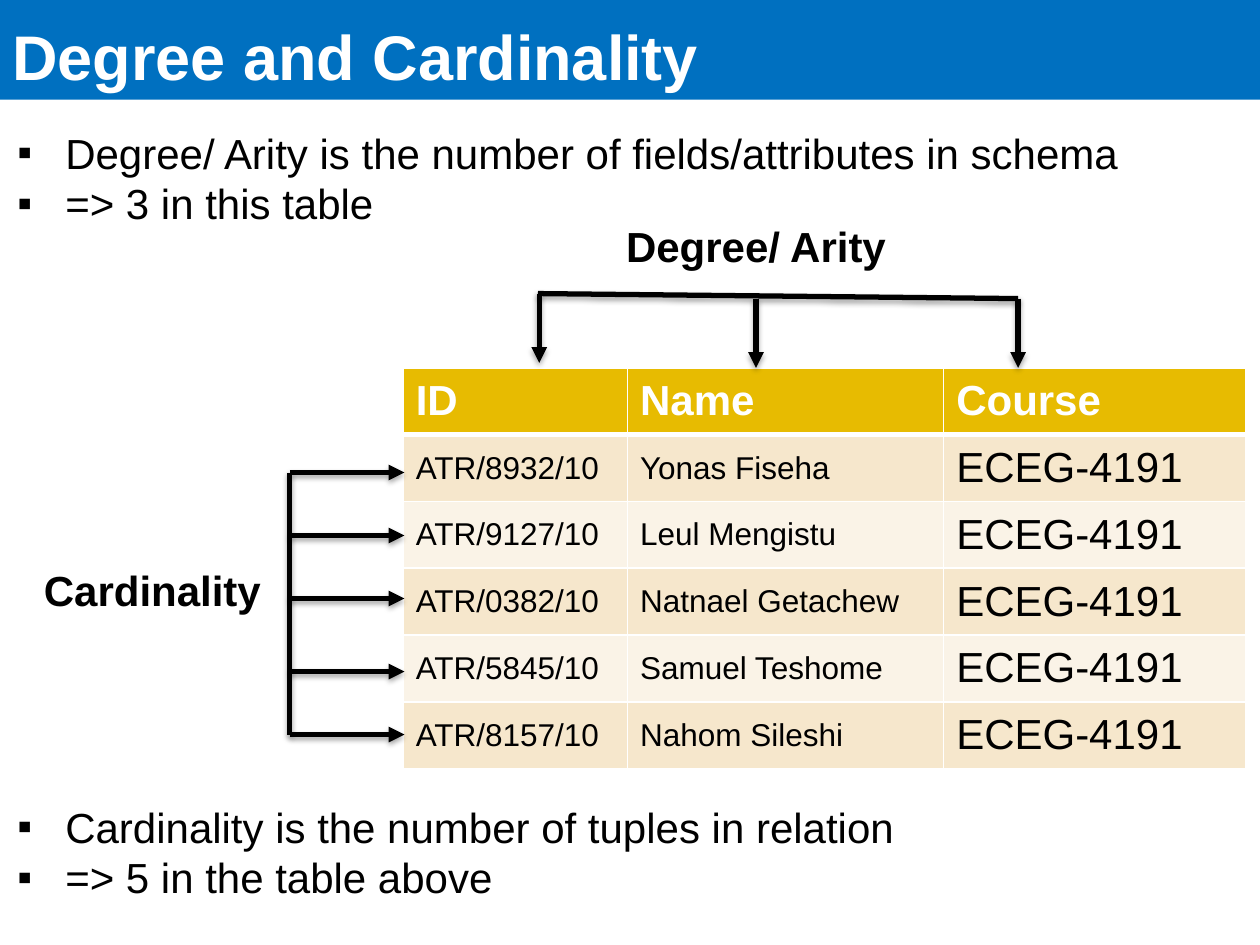
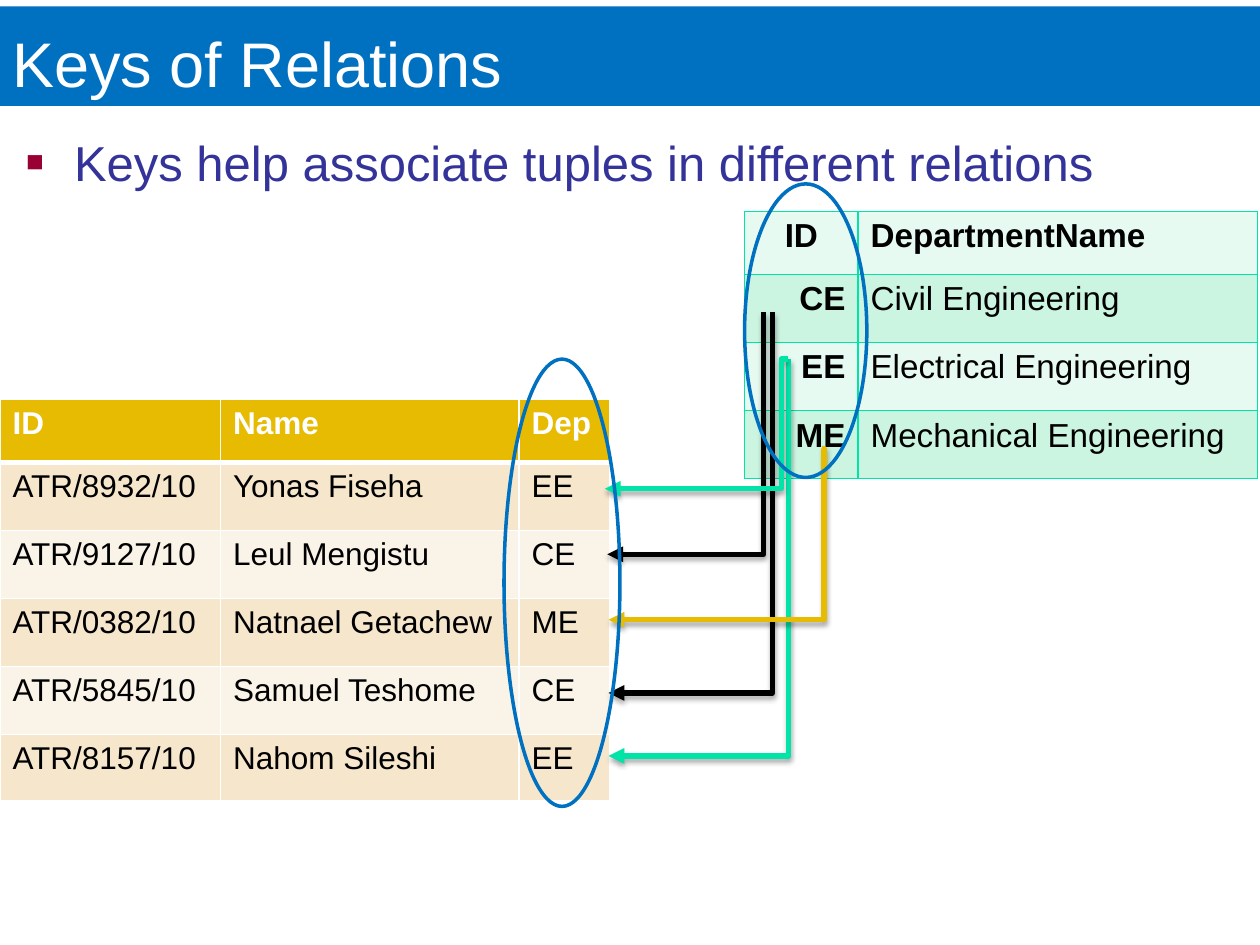
import pptx
import pptx.util
from pptx.dml.color import RGBColor
from pptx.enum.shapes import MSO_CONNECTOR, MSO_SHAPE
from pptx.enum.text import MSO_ANCHOR, PP_ALIGN
from pptx.oxml import parse_xml
from pptx.oxml.ns import nsdecls, qn

PX = 9144  # EMU, 100 px to the inch
FONT = "Arial"
BLUE = RGBColor(0x00, 0x70, 0xC0)
WHITE = RGBColor(0xFF, 0xFF, 0xFF)
BLACK = RGBColor(0x00, 0x00, 0x00)
GOLD = RGBColor(0xE7, 0xBB, 0x01)
SAND = RGBColor(0xF6, 0xE7, 0xCC)
CREAM = RGBColor(0xFA, 0xF3, 0xE7)
GREEN = RGBColor(0x00, 0xE4, 0xA8)
MINT = RGBColor(0xCC, 0xF5, 0xE1)
PALE_MINT = RGBColor(0xE7, 0xFA, 0xF1)
INDIGO = RGBColor(0x33, 0x33, 0x99)
CRIMSON = RGBColor(0x99, 0x00, 0x33)

STUDENTS = [
    ("ATR/8932/10", "Yonas Fiseha", "EE"),
    ("ATR/9127/10", "Leul Mengistu", "CE"),
    ("ATR/0382/10", "Natnael Getachew", "ME"),
    ("ATR/5845/10", "Samuel Teshome", "CE"),
    ("ATR/8157/10", "Nahom Sileshi", "EE"),
]
DEPARTMENTS = [
    ("CE", "Civil Engineering"),
    ("EE", "Electrical Engineering"),
    ("ME", "Mechanical Engineering"),
]


def px(*lengths):
    return [pptx.util.Emu(n * PX) for n in lengths]


def xml(text):
    """Parse one DrawingML element whose tag has no attributes of its own namespace."""
    tag = text[1:].split(" ")[0].split(">")[0].rstrip("/")
    return parse_xml(text.replace(tag, f"{tag} {nsdecls('a')}", 1))


class Deck:
    def __init__(self):
        self.prs = pptx.Presentation()
        self.prs.slide_width, self.prs.slide_height = px(1000, 750)
        self.s = None

    def slide(self, title, top, bold):
        """Start a slide with its title band."""
        self.s = self.prs.slides.add_slide(self.prs.slide_layouts[6])
        sp = self.shape(MSO_SHAPE.RECTANGLE, 0, top, 1000, 79, fill=BLUE)
        sp.text_frame.vertical_anchor = MSO_ANCHOR.BOTTOM
        self.run(sp.text_frame.paragraphs[0], title, 36, WHITE, bold)

    def shape(self, kind, x, y, w, h, fill=None, line=None):
        sp = self.s.shapes.add_shape(kind, *px(x, y, w, h))
        sp.shadow.inherit = False
        if fill is None:
            sp.fill.background()
        else:
            sp.fill.solid()
            sp.fill.fore_color.rgb = fill
        if line is None:
            sp.line.fill.background()
        else:
            sp.line.color.rgb = line
            sp.line.width = pptx.util.Pt(2)
        return sp

    def run(self, p, text, size, color=BLACK, bold=False, align=PP_ALIGN.LEFT):
        p.alignment = align
        r = p.add_run()
        r.text = text
        r.font.name = FONT
        r.font.size = pptx.util.Pt(size)
        r.font.color.rgb = color
        r.font.bold = bold

    def label(self, x, y, w, text):
        tf = self.s.shapes.add_textbox(*px(x, y, w, 50)).text_frame
        tf.word_wrap = False
        self.run(tf.paragraphs[0], text, 24, bold=True)

    def bullets(self, x, y, w, h, lines, size=24, color=BLACK, mark="▪",
                mark_color=BLACK, mark_size=100, before=0):
        tf = self.s.shapes.add_textbox(*px(x, y, w, h)).text_frame
        tf.word_wrap = True
        for i, line in enumerate(lines):
            p = tf.add_paragraph() if i else tf.paragraphs[0]
            p.space_before = pptx.util.Pt(before)
            self.run(p, line, size, color)
            pPr = p._p.get_or_add_pPr()
            pPr.set("marL", str(38 * PX))
            pPr.set("indent", str(-38 * PX))
            pPr.append(xml(f'<a:buClr><a:srgbClr val="{mark_color}"/></a:buClr>'))
            pPr.append(xml(f'<a:buSzPct val="{mark_size * 1000}"/>'))
            pPr.append(xml(f'<a:buFont typeface="{FONT}"/>'))
            pPr.append(xml(f'<a:buChar char="{mark}"/>'))

    def table(self, x, y, cols, rows, cells, style):
        """Fill a table; style(row, col) gives fill and the settings of the run."""
        frame = self.s.shapes.add_table(len(rows), len(cols),
                                        *px(x, y, sum(cols), sum(rows)))
        table = frame.table
        for col, width in zip(table.columns, px(*cols)):
            col.width = width
        for row, height in zip(table.rows, px(*rows)):
            row.height = height
        for i, texts in enumerate(cells):
            for j, text in enumerate(texts):
                cell = table.cell(i, j)
                look = style(i, j)
                self.borders(cell, look["border"], look["widths"])
                cell.fill.solid()
                cell.fill.fore_color.rgb = look["fill"]
                cell.vertical_anchor = look.get("anchor", MSO_ANCHOR.TOP)
                self.run(cell.text_frame.paragraphs[0], text, **look["run"])

    def borders(self, cell, color, widths):
        tcPr = cell._tc.get_or_add_tcPr()
        for side, width in zip("LRTB", widths):
            tcPr.append(xml(f'<a:ln{side} w="{width * 12700}"><a:solidFill>'
                            f'<a:srgbClr val="{color}"/></a:solidFill></a:ln{side}>'))

    def line(self, x1, y1, x2, y2, color=BLACK, head=False, tail=False,
             kind=MSO_CONNECTOR.STRAIGHT):
        """Draw a shadowed line with an arrowhead at its start or end."""
        cx = self.s.shapes.add_connector(kind, *px(x1, y1, x2, y2))
        cx.line.color.rgb = color
        cx.line.width = pptx.util.Pt(3)
        ln = cx.line._get_or_add_ln()
        if head:
            ln.append(xml('<a:headEnd type="triangle"/>'))
        if tail:
            ln.append(xml('<a:tailEnd type="triangle"/>'))
        cx._element.spPr.append(xml(
            '<a:effectLst><a:outerShdw blurRad="39370" dist="22860" dir="5400000" '
            'rotWithShape="0"><a:srgbClr val="000000"><a:alpha val="35000"/>'
            '</a:srgbClr></a:outerShdw></a:effectLst>'))
        return cx

    def elbow(self, tip, start, turn, color):
        """Arrow to tip from start, with its upright part at x = turn."""
        cx = self.line(*tip, *start, color, head=True, kind=MSO_CONNECTOR.ELBOW)
        share = round(100000 * (turn - tip[0]) / (start[0] - tip[0]))
        geom = cx._element.spPr.find(qn("a:prstGeom"))
        geom.find(qn("a:avLst")).append(xml(f'<a:gd name="adj1" fmla="val {share}"/>'))


def student_style(sizes, header_size, anchor):
    """Gold header over sand and cream bands; sizes are per column."""
    def style(i, j):
        if i == 0:
            return dict(fill=GOLD, border=WHITE, widths=(1, 1, 1, 3), anchor=anchor,
                        run=dict(size=header_size, color=WHITE, bold=True))
        return dict(fill=SAND if i % 2 else CREAM, border=WHITE,
                    widths=(1, 1, 3 if i == 1 else 1, 1), anchor=anchor,
                    run=dict(size=sizes[j]))
    return style


def department_style(i, j):
    align = PP_ALIGN.LEFT
    if j == 0:
        align = PP_ALIGN.RIGHT if i else PP_ALIGN.CENTER
    return dict(fill=MINT if i % 2 else PALE_MINT, border=GREEN, widths=(1, 1, 1, 1),
                run=dict(size=19, bold=i == 0 or j == 0, align=align))


def degree_slide(deck):
    deck.slide("Degree and Cardinality", 0, bold=True)
    cells = [("ID", "Name", "Course")]
    cells += [(number, name, "ECEG-4191") for number, name, _ in STUDENTS]
    deck.table(320, 292, [178, 251, 240], [53] * 6, cells,
               student_style([18, 18, 24], 24, MSO_ANCHOR.MIDDLE))
    deck.bullets(4, 631, 783, 91, ["Cardinality is the number of tuples in relation",
                                   "=> 5 in the table above"])
    deck.bullets(4, 96, 967, 91,
                 ["Degree/ Arity is the number of fields/attributes in schema",
                  "=> 3 in this table"])
    for y in (375, 425, 475, 533, 583):
        deck.line(230, y, 321, y, tail=True)
    deck.line(230, 583, 230, 375)
    deck.label(25, 443, 194, "Cardinality")
    for x, y in ((428, 233), (600, 237), (808, 237)):
        deck.line(x, y, x, y + 55, tail=True)
    deck.line(427, 233, 808, 237)
    deck.label(487, 170, 238, "Degree/ Arity")


def keys_slide(deck):
    deck.slide("Keys of Relations", 5, bold=False)
    deck.bullets(11, 100, 989, 592, ["Keys help associate tuples in different relations"],
                 size=28, color=INDIGO, mark="■", mark_color=CRIMSON, mark_size=60,
                 before=3)
    deck.table(0, 317, [175, 237, 72], [50, 54, 54, 54, 54, 53],
               [("ID", "Name", "Dep")] + STUDENTS,
               student_style([18] * 3, 18, MSO_ANCHOR.TOP))
    deck.table(591, 168, [90, 317], [50, 54, 54, 54],
               [("ID", "DepartmentName")] + DEPARTMENTS, department_style)
    for tip, start, turn, color in (
            ((482, 440), (606, 248), 606, BLACK),
            ((483, 550), (613, 248), 613, BLACK),
            ((483, 600), (626, 285), 626, GREEN),
            ((480, 388), (625, 285), 620, GREEN),
            ((483, 492), (652, 356), 654, GOLD)):
        deck.elbow(tip, start, turn, color)
    deck.shape(MSO_SHAPE.OVAL, 400, 285, 92, 355, line=BLUE)
    deck.shape(MSO_SHAPE.OVAL, 591, 146, 97, 233, line=BLUE)


def main():
    deck = Deck()
    degree_slide(deck)
    keys_slide(deck)
    deck.prs.save("out.pptx")


if __name__ == "__main__":
    main()
